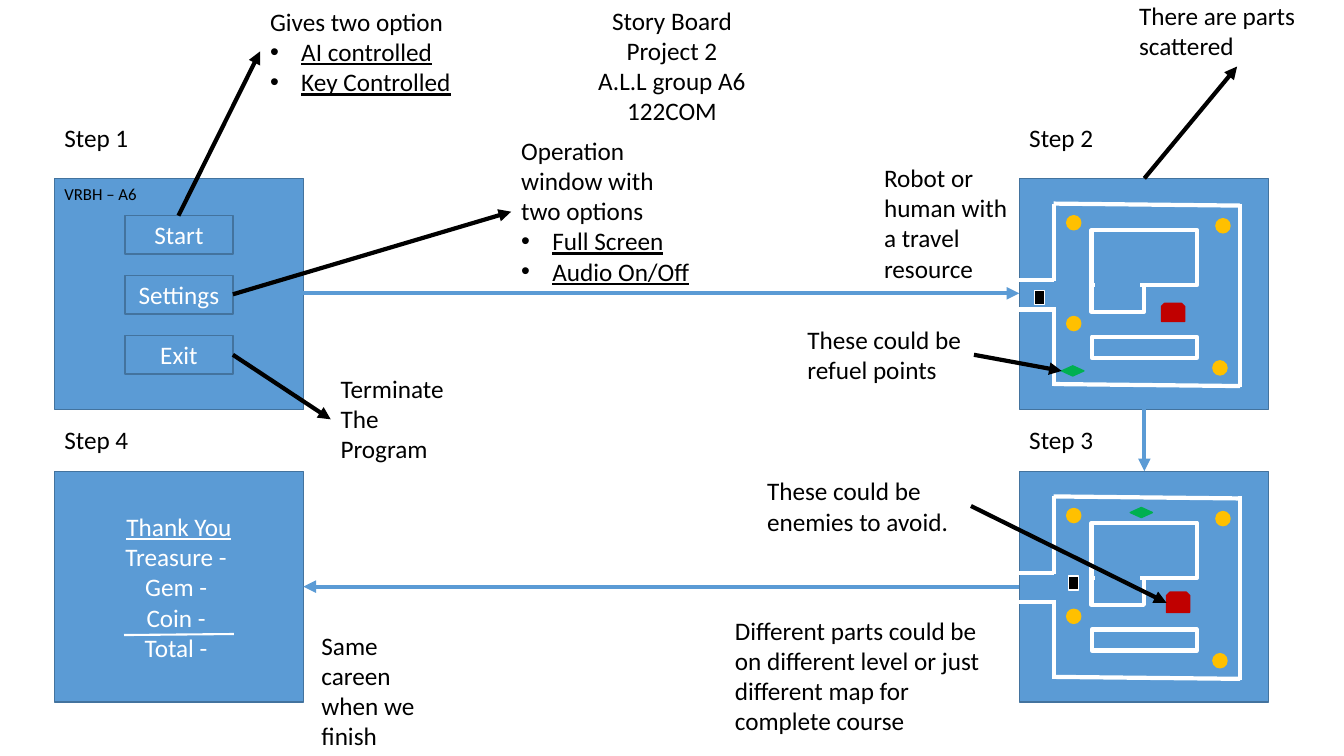
from lxml import etree
from pptx import Presentation
from pptx import util as u
from pptx.dml.color import RGBColor
from pptx.enum import shapes, text
from pptx.oxml.ns import qn

# The slide is a grid of 1333 columns by 750 rows
COLUMNS, ROWS = 1333, 750
CELL = u.Inches(0.01)
LEFT, RIGHT = 54, 1011
TOP, BOTTOM = 177, 467.5
PANEL = (247, 229)
BLUE, EDGE, BLACK, WHITE = "5B9BD5", "43739E", "000000", "FFFFFF"
GOLD, GREEN, RED = "FFC000", "00B050", "C00000"
KIND = shapes.MSO_SHAPE

# Corridor walls of the map, measured from the panel corner
WALLS = [(34, 25, 219, 27), (34, 25, 34, 102), (219, 25, 219, 207),
         (34, 204, 219, 206), (34, 128, 34, 206),
         (34, 130, 0, 130), (34, 101, 0, 101)]
COINS = [(47, 37), (195, 40), (47, 137), (192, 181)]


def cells(*values):
    return [round(value * CELL) for value in values]


def color(value):
    return RGBColor.from_string(value)


def apply(target, values):
    for name, value in values.items():
        setattr(target, name, value)


def write(frame, lines, size=18, ink=BLACK, align=text.PP_ALIGN.LEFT):
    """Fill a frame; '_' marks underlined lines and '*' underlined bullets."""
    for index, line in enumerate(lines):
        paragraph = frame.paragraphs[0] if index == 0 else frame.add_paragraph()
        paragraph.alignment = align
        run = paragraph.add_run()
        run.text = line.lstrip("*_")
        apply(run.font, {"name": "Calibri", "size": u.Pt(size),
                         "underline": line[0] in "*_"})
        run.font.color.rgb = color(ink)
        if line[0] == "*":
            properties = paragraph._p.get_or_add_pPr()
            indent = u.Inches(0.31)
            properties.set("marL", str(indent))
            properties.set("indent", str(-indent))
            etree.SubElement(properties, qn("a:buFont")).set("typeface", "Arial")
            etree.SubElement(properties, qn("a:buChar")).set("char", "•")


def add_label(slide, box, lines, **style):
    frame = slide.shapes.add_textbox(*cells(*box)).text_frame
    apply(frame, {"word_wrap": True,
                  "auto_size": text.MSO_AUTO_SIZE.SHAPE_TO_FIT_TEXT})
    write(frame, lines, **style)


def add_block(slide, box, fill=BLUE, edge=EDGE, weight=1, kind=KIND.RECTANGLE,
              lines=(), rotation=0):
    shape = slide.shapes.add_shape(kind, *cells(*box))
    shape.rotation = rotation
    shape.shadow.inherit = False
    shape.fill.solid()
    shape.fill.fore_color.rgb = color(fill)
    shape.line.color.rgb = color(edge)
    shape.line.width = u.Pt(weight)
    apply(shape.text_frame, {"word_wrap": True,
                             "vertical_anchor": text.MSO_ANCHOR.MIDDLE})
    write(shape.text_frame, lines, ink=WHITE, align=text.PP_ALIGN.CENTER)


def add_line(slide, ends, ink=BLACK, weight=3, arrow=True):
    line = slide.shapes.add_connector(shapes.MSO_CONNECTOR.STRAIGHT, *cells(*ends))
    line.line.color.rgb = color(ink)
    line.line.width = u.Pt(weight)
    if arrow:
        outline = line.line._get_or_add_ln()
        etree.SubElement(outline, qn("a:tailEnd")).set("type", "triangle")
    etree.SubElement(line._element.spPr, qn("a:effectLst"))


def add_map(slide, top, player, fuel, enemy):
    """Draw a maze panel whose movable pieces are given from its corner."""
    def place(box):
        return (RIGHT + box[0], top + box[1], *box[2:])

    add_block(slide, (RIGHT, top, *PANEL))
    for x1, y1, x2, y2 in WALLS:
        add_line(slide, (RIGHT + x1, top + y1, RIGHT + x2, top + y2), WHITE, arrow=False)
    add_block(slide, place((*player, 10, 14)), BLACK, WHITE)
    # Rooms, with a patch that opens the wall between two of them
    add_block(slide, place((57, 66, 81, 52)), edge=WHITE, weight=3, rotation=270)
    for box in [(72, 51, 104, 55), (72, 157, 104, 21)]:
        add_block(slide, place(box), edge=WHITE, weight=3)
    add_block(slide, place((76, 91, 43, 22)), edge=BLUE)
    for coin in COINS:
        add_block(slide, place((*coin, 14, 14)), GOLD, GOLD, kind=KIND.OVAL)
    add_block(slide, place((*fuel, 22, 10)), GREEN, GREEN,
              kind=KIND.FLOWCHART_DECISION)
    add_block(slide, place(enemy), RED, RED, kind=KIND.SNIP_2_SAME_RECTANGLE)


def main():
    presentation = Presentation()
    presentation.slide_width, presentation.slide_height = cells(COLUMNS, ROWS)
    slide = presentation.slides.add_slide(presentation.slide_layouts[6])

    # Title
    add_label(slide, (0, 0, COLUMNS, 131),
              ["Story Board", "Project 2", "A.L.L group A6", "122COM"],
              align=text.PP_ALIGN.CENTER)

    # Panels
    add_block(slide, (LEFT, TOP, *PANEL))
    add_block(slide, (LEFT, BOTTOM, *PANEL),
              lines=["_Thank You", "Treasure - ", "Gem - ", "Coin - ", "Total - "])
    add_line(slide, (123, 630, 232, 629), WHITE, 1.5, arrow=False)
    add_map(slide, TOP, (15, 111), (42, 186), (141, 124, 23, 18))
    add_map(slide, BOTTOM, (49, 104), (110, 36), (146, 120, 23, 20))

    # Step names and the menu
    for step, (x, y) in enumerate([(LEFT, 116), (RIGHT, 116),
                                   (RIGHT, 416), (LEFT, 416)], 1):
        add_label(slide, (x, y, 143, 40), [f"Step {step}"])
    add_label(slide, (LEFT, TOP, 97, 30), ["VRBH – A6"], size=12)
    for row, name in enumerate(["Start", "Settings", "Exit"]):
        add_block(slide, (124, 214 + 59.5 * row, 107, 38), lines=[name])

    # Flow between steps
    for ends in [(301, 291, RIGHT, 291), (RIGHT, 582, 301, 582),
                 (1135, 405, 1135, BOTTOM)]:
        add_line(slide, ends, BLUE)

    # Notes
    notes = [
        ((328, 365, 143, 101), ["Terminate The Program"]),
        ((309, 620, 143, 131), ["Same careen when we finish"]),
        ((867, 156, 143, 131), ["Robot or human with a travel resource"]),
        ((507, 129, 195, 162), ["Operation window with two options",
                                "*Full Screen", "*Audio On/Off"]),
        ((258, 1, 213, 101), ["Gives two option", "*AI controlled",
                              "*Key Controlled"]),
        ((1120, -5, 213, 71), ["There are parts scattered"]),
        ((791, 317, 176, 71), ["These could be refuel points"]),
        ((751, 467, 213, 71), ["These could be enemies to avoid."]),
        ((719, 605, 268, 131), ["Different parts could be on different level or "
                                "just different map for complete course"]),
    ]
    for box, lines in notes:
        add_label(slide, box, lines)

    # Pointers between notes and panels
    for ends in [(231, 352, 328, 416), (231, 292, 507, 210), (177, 214, 258, 51),
                 (1135, 177, 1227, 66), (966, 352, 1053, 368),
                 (963, 502, 1157, 598)]:
        add_line(slide, ends)

    presentation.save("out.pptx")


main()
